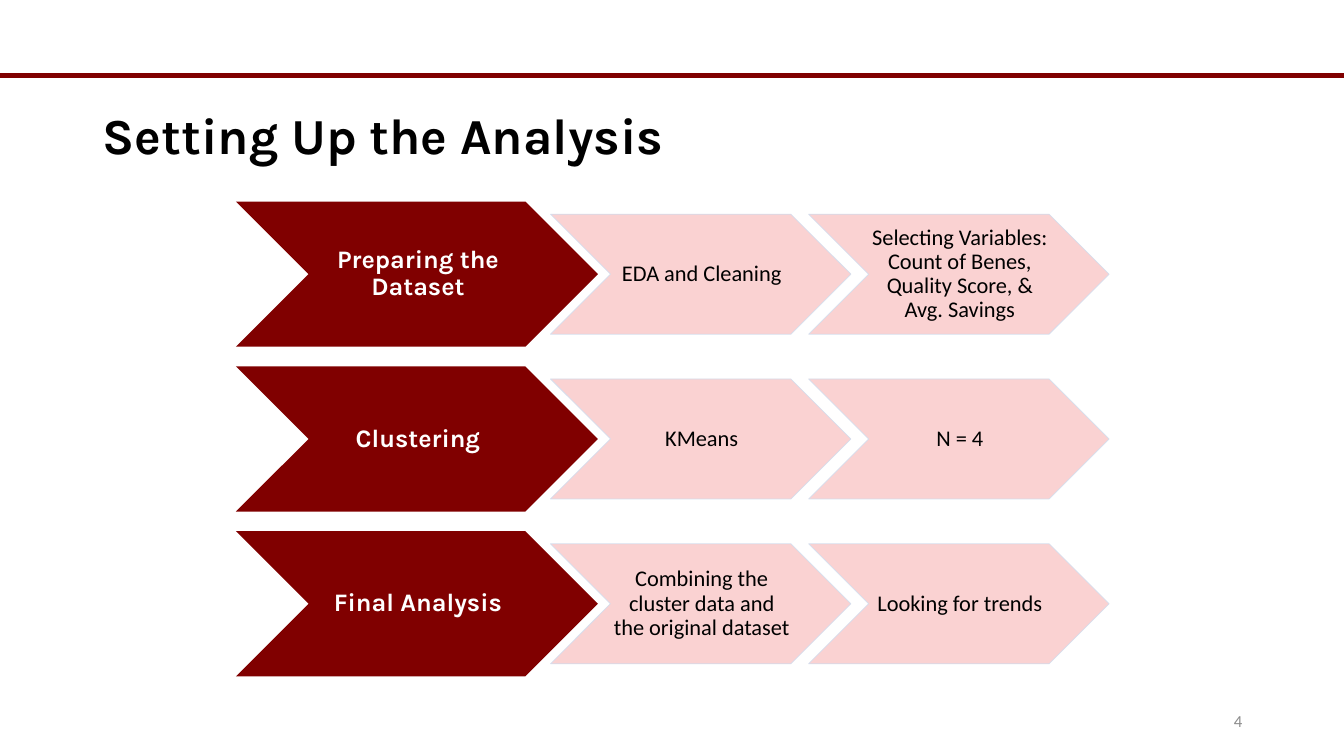
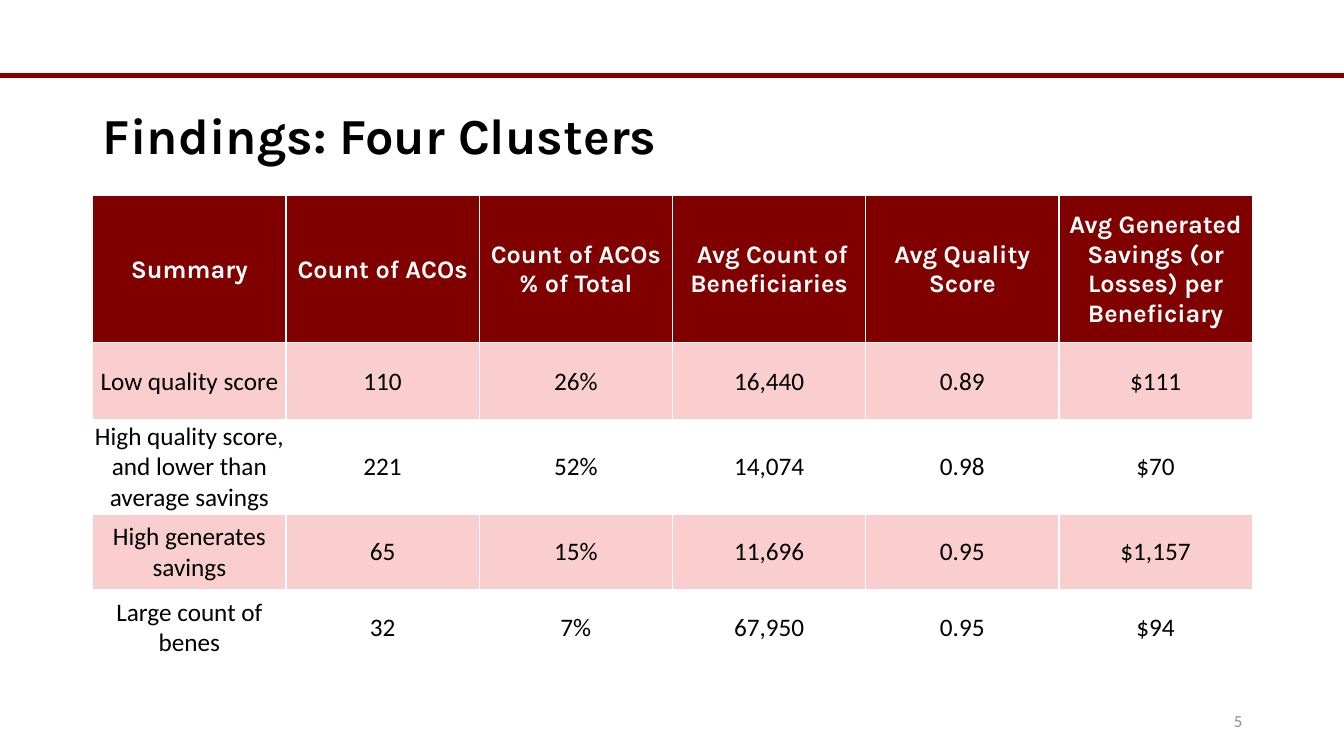
"""Builds two slides: the steps of the analysis and the four clusters it found."""
from dataclasses import dataclass

from lxml.etree import SubElement
from pptx import Presentation
from pptx.dml.color import RGBColor as RGB
from pptx.enum.shapes import MSO_CONNECTOR as CONN, MSO_SHAPE as SHAPE
from pptx.enum.text import MSO_ANCHOR as ANCHOR, PP_ALIGN as ALIGN
from pptx.oxml.ns import qn
from pptx.util import Inches, Pt


@dataclass(frozen=True)
class Theme:
    maroon: RGB = RGB.from_string("800000")
    pink: RGB = RGB.from_string("FACECE")
    edge: RGB = RGB.from_string("D2DEEF")
    white: RGB = RGB.from_string("FFFFFF")
    black: RGB = RGB.from_string("000000")
    grey: RGB = RGB.from_string("8C8C8C")
    head: str = "Karla"
    body: str = "Calibri"
    opacity: int = 90


T = Theme()


def font(name, size, color, bold=False):
    return {"name": name, "size": Pt(size), "bold": bold, "color": color}


TITLE = font(T.head, 36, T.black, True)
NUMBER = font(T.body, 12, T.grey)
STEP = font(T.head, 18, T.white, True)
DETAIL = font(T.body, 16, T.black)
TH = font(T.head, 18, T.white, True)
TD = font(T.body, 18, T.black)

WIDTH, HEIGHT = 13.33, 7.5
LEFT, CONTENT_W = 0.92, 11.5
RULE_Y = HEIGHT / 10
FIRST_NUMBER = 4

STEPS = [
    ("Preparing the Dataset", "EDA and Cleaning",
     "Selecting Variables: Count of Benes, Quality Score, & Avg. Savings"),
    ("Clustering", "KMeans", "N = 4"),
    ("Final Analysis", "Combining the cluster data and the original dataset",
     "Looking for trends"),
]
CLUSTERS = [
    ("Summary", "Count of ACOs", "Count of ACOs % of Total",
     " Avg Count of Beneficiaries", "Avg Quality Score",
     "Avg Generated Savings (or Losses) per Beneficiary"),
    ("Low quality score", "110", "26%", "16,440", "0.89", "$111"),
    ("High quality score, and lower than average savings",
     "221", "52%", "14,074", "0.98", "$70"),
    ("High generates savings", "65", "15%", "11,696", "0.95", "$1,157"),
    ("Large count of benes", "32", "7%", "67,950", "0.95", "$94"),
]
ROW_HEIGHTS = [1.46, 0.76, 0.94, 0.75, 0.75]


def box(*lengths):
    return [Inches(v) for v in lengths]


def write(tf, text, style, align, spacing=1.0, margins=None):
    tf.word_wrap = True
    tf.vertical_anchor = ANCHOR.MIDDLE
    for side, value in (margins or {}).items():
        setattr(tf, f"margin_{side}", Inches(value))
    p = tf.paragraphs[0]
    p.alignment, p.line_spacing = align, spacing
    r = p.add_run()
    r.text = text
    for key, value in style.items():
        if key == "color":
            r.font.color.rgb = value
        else:
            setattr(r.font, key, value)


def add_slide(prs, title):
    slide = prs.slides.add_slide(prs.slide_layouts[5])
    sp = slide.shapes.title
    sp.left, sp.top, sp.width, sp.height = box(LEFT, RULE_Y, CONTENT_W, 1.25)
    write(sp.text_frame, title, TITLE, ALIGN.LEFT, 0.9)
    rule = slide.shapes.add_connector(CONN.STRAIGHT, *box(-0.24, RULE_Y, 13.43, RULE_Y))
    rule.line.color.rgb, rule.line.width = T.maroon, Pt(3.75)
    SubElement(rule._element.spPr, qn("a:effectLst"))
    number = slide.shapes.add_textbox(*box(LEFT + CONTENT_W - 3, 6.95, 3, 0.4))
    write(number.text_frame, str(FIRST_NUMBER + len(prs.slides) - 1), NUMBER, ALIGN.RIGHT)
    return slide


def add_chevron(slide, text, x, middle, w, h, style, fill, edge=None):
    sp = slide.shapes.add_shape(SHAPE.CHEVRON, *box(x, middle - h / 2, w, h))
    sp.shadow.inherit = False
    sp.fill.solid()
    sp.fill.fore_color.rgb = fill
    if edge:
        sp.line.color.rgb, sp.line.width = edge, Pt(0.5)
        for color in sp._element.spPr.iter(qn("a:srgbClr")):
            SubElement(color, qn("a:alpha"), val=str(T.opacity * 1000))
    else:
        sp.line.fill.background()
    write(sp.text_frame, text, style, ALIGN.CENTER, 0.9,
          {"left": 0.02, "top": 0.01, "right": 0, "bottom": 0.01})


def add_steps(slide):
    for row, (step, *details) in enumerate(STEPS):
        middle = 2.72 + row * 1.635
        add_chevron(slide, step, 2.34, middle, 3.59, 1.44, STEP, T.maroon)
        for col, detail in enumerate(details):
            add_chevron(slide, detail, 5.46 + col * 2.56, middle, 2.98, 1.19,
                        DETAIL, T.pink, T.edge)


def add_clusters(slide):
    rows, cols = len(CLUSTERS), len(CLUSTERS[0])
    table = slide.shapes.add_table(
        rows, cols, *box(LEFT, 1.94, CONTENT_W, sum(ROW_HEIGHTS))).table
    table.first_row = table.horz_banding = False
    for i, values in enumerate(CLUSTERS):
        table.rows[i].height = Inches(ROW_HEIGHTS[i])
        fill = T.maroon if i == 0 else T.pink if i % 2 else T.white
        for j, value in enumerate(values):
            cell = table.cell(i, j)
            cell.fill.solid()
            cell.fill.fore_color.rgb = fill
            cell.vertical_anchor = ANCHOR.MIDDLE
            for side, margin in {"left": 0.01, "top": 0.01, "right": 0.01, "bottom": 0}.items():
                setattr(cell, f"margin_{side}", Inches(margin))
            write_cell = cell.text_frame
            write(write_cell, value, TD if i else TH, ALIGN.CENTER)


def main():
    prs = Presentation()
    prs.slide_width, prs.slide_height = box(WIDTH, HEIGHT)
    add_steps(add_slide(prs, "Setting Up the Analysis"))
    add_clusters(add_slide(prs, "Findings: Four Clusters"))
    prs.save("out.pptx")


if __name__ == "__main__":
    main()
